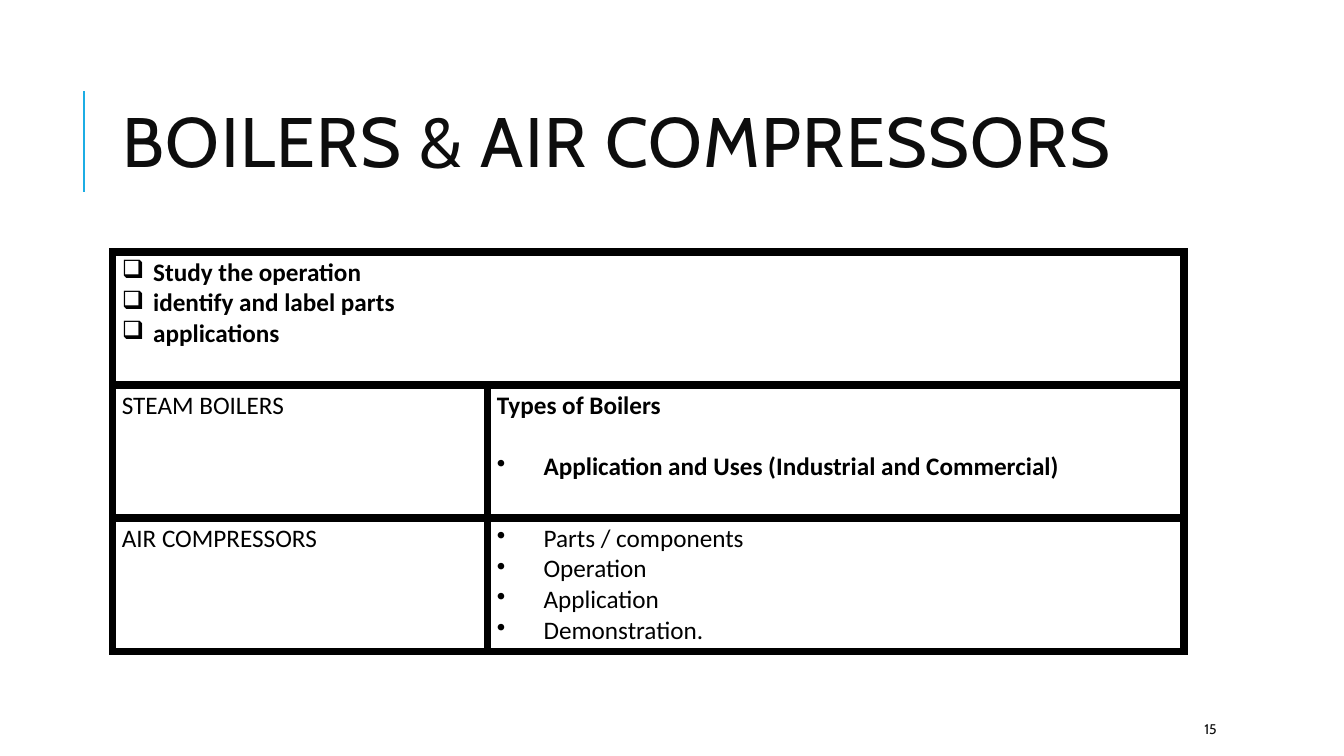
from dataclasses import dataclass

from lxml.etree import SubElement
from pptx import Presentation
from pptx.dml.color import RGBColor
from pptx.enum.shapes import MSO_CONNECTOR as Connector
from pptx.enum.text import MSO_ANCHOR as Anchor, MSO_AUTO_SIZE as AutoSize, PP_ALIGN as Align
from pptx.oxml import parse_xml
from pptx.oxml.ns import nsdecls, qn
from pptx.util import Cm, Pt

COLORS = {"accent": "1CADE4", "heading": "0D0D0D", "table": "000000"}
TITLE_FONT = "Cabin"
TABLE_FONT = "Calibri"
LEFT = Cm(2.84)
COLUMN_WIDTHS = (Cm(9.45), Cm(17.55))
ROW_HEIGHT = Cm(3.35)
BORDER_WIDTH = Pt(6)


@dataclass(frozen=True)
class Line:
    text: str
    bold: bool = False
    bullet: str = ""
    indent: float = 0
    space_before: float = 0


@dataclass(frozen=True)
class Entry:
    row: int
    column: int
    lines: tuple[Line, ...]


def goal(text: str) -> Line:
    return Line(text, bold=True, bullet="❑", indent=0.79)


def point(text: str, bold: bool = False, space_before: float = 0) -> Line:
    return Line(text, bold, "•", 1.18, space_before)


ENTRIES = (
    Entry(0, 0, (goal("Study the operation"), goal("identify and label parts"), goal("applications"))),
    Entry(1, 0, (Line("STEAM BOILERS"),)),
    Entry(1, 1, (
        Line("Types of Boilers", bold=True),
        point("Application and Uses (Industrial and Commercial)", bold=True, space_before=22),
    )),
    Entry(2, 0, (Line("AIR COMPRESSORS"),)),
    Entry(2, 1, tuple(point(text) for text in ("Parts / components", "Operation", "Application", "Demonstration."))),
)


def add_span(para, text: str, font: str, size: float, color: str, bold: bool = False):
    span = para.add_run()
    span.text = text
    span.font.name = font
    span.font.size = Pt(size)
    span.font.bold = bold
    span.font.color.rgb = RGBColor.from_string(COLORS[color])
    return span


def add_line(para, line: Line) -> None:
    if line.bullet:
        properties = para._p.get_or_add_pPr()
        properties.set("marL", str(Cm(line.indent)))
        properties.set("indent", str(-Cm(line.indent)))
        SubElement(properties, qn("a:buChar")).set("char", line.bullet)
    if line.space_before:
        para.space_before = Pt(line.space_before)
    add_span(para, line.text, TABLE_FONT, 18, "table", line.bold)


def format_cell(cell) -> None:
    cell.margin_left = cell.margin_right = Cm(0.23)
    cell.margin_top = cell.margin_bottom = Cm(0.13)
    cell.fill.background()
    properties = cell._tc.get_or_add_tcPr()
    for position, side in enumerate(("lnL", "lnR", "lnT", "lnB")):
        border = parse_xml(
            f'<a:{side} {nsdecls("a")} w="{BORDER_WIDTH}"><a:solidFill>'
            f'<a:srgbClr val="{COLORS["table"]}"/></a:solidFill></a:{side}>'
        )
        properties.insert(position, border)


def add_accent(page) -> None:
    accent = page.shapes.add_connector(Connector.STRAIGHT, Cm(2.11), Cm(4.83), Cm(2.11), Cm(2.29))
    accent.line.color.rgb = RGBColor.from_string(COLORS["accent"])
    accent.line.width = Pt(1.5)
    SubElement(accent._element.spPr, qn("a:effectLst"))


def add_title(page) -> None:
    title = page.shapes.title
    title.left, title.top, title.width, title.height = LEFT, Cm(1.63), Cm(27), Cm(4.17)
    frame = title.text_frame
    frame.word_wrap = True
    frame.auto_size = AutoSize.NONE
    frame.vertical_anchor = Anchor.MIDDLE
    para = frame.paragraphs[0]
    para.alignment = Align.LEFT
    para.line_spacing = 0.8
    span = add_span(para, "BOILERS & AIR COMPRESSORS", TITLE_FONT, 50, "heading")
    span.font._element.set("spc", "100")


def add_topics(page) -> None:
    table = page.shapes.add_table(3, 2, LEFT, Cm(6.35), sum(COLUMN_WIDTHS), 3 * ROW_HEIGHT).table
    table.first_row = table.horz_banding = False
    for column, width in zip(table.columns, COLUMN_WIDTHS):
        column.width = width
    for row in table.rows:
        row.height = ROW_HEIGHT
        for cell in row.cells:
            format_cell(cell)
    table.cell(0, 0).merge(table.cell(0, 1))
    for entry in ENTRIES:
        frame = table.cell(entry.row, entry.column).text_frame
        for index, line in enumerate(entry.lines):
            add_line(frame.add_paragraph() if index else frame.paragraphs[0], line)


def add_page_number(page) -> None:
    box = page.shapes.add_textbox(Cm(30.1), Cm(17.98), Cm(2.69), Cm(0.76))
    frame = box.text_frame
    frame.word_wrap = True
    frame.vertical_anchor = Anchor.MIDDLE
    add_span(frame.paragraphs[0], "15", TITLE_FONT, 10, "heading")


def main() -> None:
    deck = Presentation()
    deck.slide_width, deck.slide_height = Cm(33.87), Cm(19.05)
    page = deck.slides.add_slide(deck.slide_layouts[5])
    add_accent(page)
    add_title(page)
    add_topics(page)
    add_page_number(page)
    deck.save("out.pptx")


if __name__ == "__main__":
    main()
